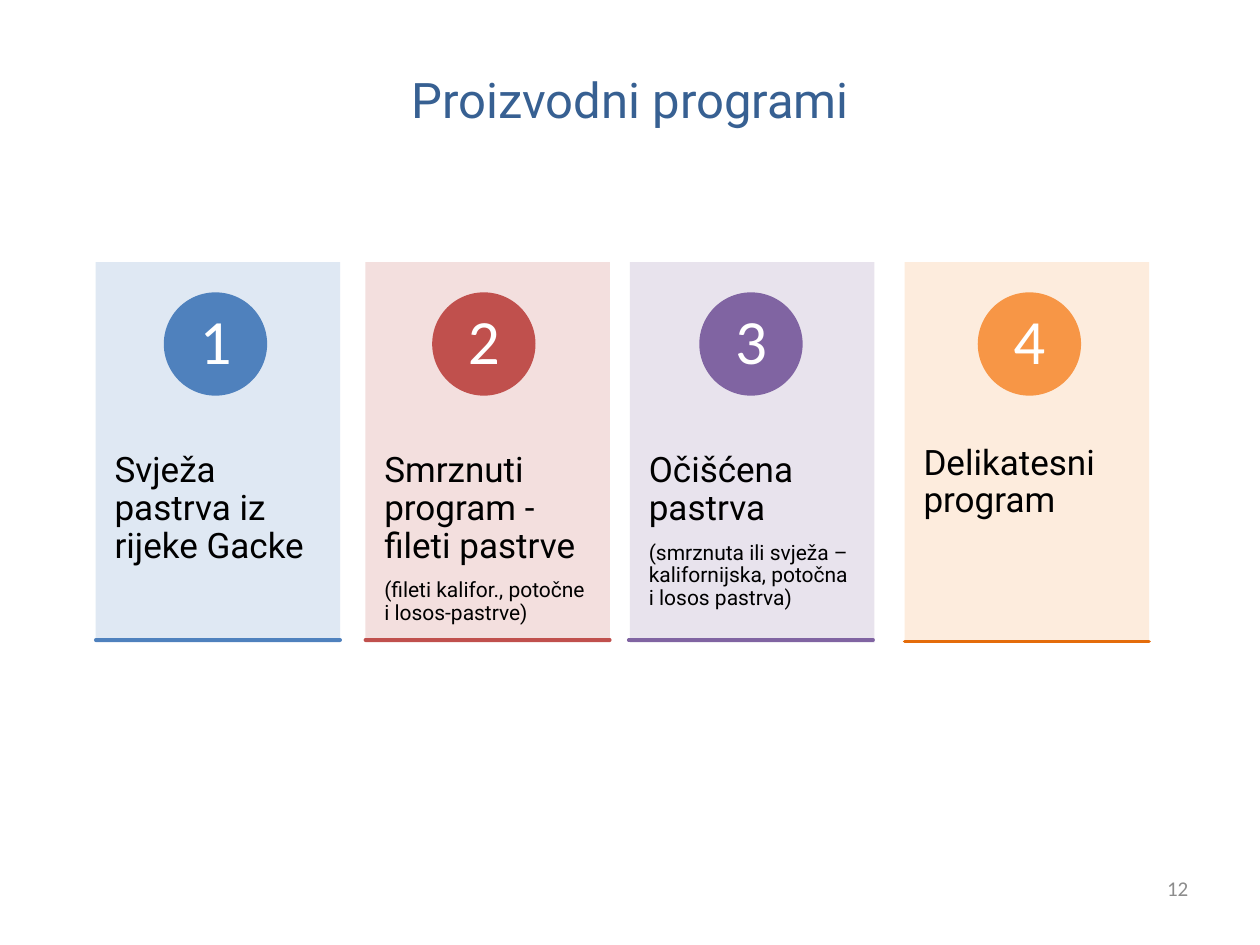
from dataclasses import dataclass

from lxml import etree
from pptx import Presentation
from pptx import util as u
from pptx.dml.color import RGBColor
from pptx.enum import shapes, text
from pptx.oxml.ns import qn

TITLE_BLUE = RGBColor(0x37, 0x60, 0x92)
BLACK = RGBColor(0, 0, 0)
WHITE = RGBColor(0xFF, 0xFF, 0xFF)
GREY = RGBColor(0x8C, 0x8C, 0x8C)
BLUE = RGBColor(0x4F, 0x81, 0xBD)
RED = RGBColor(0xC0, 0x50, 0x4D)
PURPLE = RGBColor(0x80, 0x64, 0xA2)
ORANGE = RGBColor(0xF7, 0x96, 0x46)
DARK_ORANGE = RGBColor(0xE4, 0x6C, 0x0A)
PALE_BLUE = RGBColor(0xDC, 0xE6, 0xF2)
PALE_RED = RGBColor(0xF2, 0xDC, 0xDB)
PALE_PURPLE = RGBColor(0xE6, 0xE0, 0xEC)
PALE_ORANGE = RGBColor(0xFD, 0xEA, 0xDA)

CARD_TOP, CARD_WIDTH, CARD_HEIGHT = 2.08, 1.94, 3.02
CIRCLE_TOP, CIRCLE_SIZE, NUMBER_INSET = 2.32, 0.82, 0.12
BODY_TOP, BODY_HEIGHT = 3.23, 1.81


@dataclass
class Program:
    left: float
    circle_left: float
    background: RGBColor
    accent: RGBColor
    heading: str
    detail: str = ""
    rule_color: RGBColor | None = None
    rule_left: float | None = None
    rule_top: float = 5.08


PROGRAMS = [
    Program(0.76, 1.30, PALE_BLUE, BLUE, "Svježa pastrva iz rijeke Gacke"),
    Program(2.90, 3.43, PALE_RED, RED, "Smrznuti program - fileti pastrve",
            "(fileti kalifor., potočne i losos-pastrve)"),
    Program(5.00, 5.55, PALE_PURPLE, PURPLE, "Očišćena pastrva",
            "(smrznuta ili svježa – kalifornijska, potočna i losos pastrva)",
            rule_left=4.99),
    Program(7.18, 7.76, PALE_ORANGE, ORANGE, "Delikatesni program",
            rule_color=DARK_ORANGE, rule_top=5.09),
]


def add_text(slide, box: tuple, lines: list[tuple[str, float]], *, font: str,
             color: RGBColor, align=text.PP_ALIGN.LEFT,
             anchor=text.MSO_ANCHOR.TOP, insets=(0.1, 0.05, 0.1, 0.05),
             line_spacing: float = 1.0, gap: float = 0) -> None:
    """Add a text box; each line is a paragraph with its size in points."""
    frame = slide.shapes.add_textbox(*map(u.Inches, box)).text_frame
    frame.word_wrap = True
    frame.vertical_anchor = anchor
    (frame.margin_left, frame.margin_top,
     frame.margin_right, frame.margin_bottom) = map(u.Inches, insets)
    for index, (content, size) in enumerate(lines):
        paragraph = frame.add_paragraph() if index else frame.paragraphs[0]
        paragraph.alignment = align
        paragraph.line_spacing = line_spacing
        paragraph.space_before = u.Pt(gap if index else 0)
        run = paragraph.add_run()
        run.text = content
        run.font.name = font
        run.font.size = u.Pt(size)
        run.font.color.rgb = color


def add_filled(slide, kind, box: tuple, color: RGBColor, opacity: int = 100) -> None:
    shape = slide.shapes.add_shape(kind, *map(u.Inches, box))
    shape.shadow.inherit = False
    shape.line.fill.background()
    shape.fill.solid()
    shape.fill.fore_color.rgb = color
    if opacity < 100:
        rgb = shape._element.spPr.find(".//" + qn("a:srgbClr"))
        etree.SubElement(rgb, qn("a:alpha"), val=str(opacity * 1000))


def add_rule(slide, left: float, top: float, color: RGBColor) -> None:
    """Draw the round-capped line along the foot of a card."""
    rule = slide.shapes.add_connector(
        shapes.MSO_CONNECTOR.STRAIGHT,
        *map(u.Inches, (left, top, left + CARD_WIDTH, top)))
    rule.line.color.rgb = color
    rule.line.width = u.Pt(2)
    properties = rule._element.spPr
    properties.find(qn("a:ln")).set("cap", "rnd")
    etree.SubElement(properties, qn("a:effectLst"))


def add_program(slide, number: int, program: Program) -> None:
    add_filled(slide, shapes.MSO_SHAPE.RECTANGLE,
               (program.left, CARD_TOP, CARD_WIDTH, CARD_HEIGHT),
               program.background, opacity=90)
    lines = [(program.heading, 20)]
    if program.detail:
        lines.append((program.detail, 12))
    add_text(slide, (program.left, BODY_TOP, CARD_WIDTH, BODY_HEIGHT), lines,
             font="Roboto", color=BLACK, insets=(0.15, 0.36, 0.15, 0.36),
             line_spacing=0.9, gap=8)
    add_filled(slide, shapes.MSO_SHAPE.OVAL,
               (program.circle_left, CIRCLE_TOP, CIRCLE_SIZE, CIRCLE_SIZE),
               program.accent)
    number_size = CIRCLE_SIZE - 2 * NUMBER_INSET
    add_text(slide, (program.circle_left + NUMBER_INSET,
                     CIRCLE_TOP + NUMBER_INSET, number_size, number_size),
             [(str(number), 36)], font="Calibri", color=WHITE,
             align=text.PP_ALIGN.CENTER, anchor=text.MSO_ANCHOR.MIDDLE,
             insets=(0.06, 0.01, 0.06, 0.01), line_spacing=0.9)
    add_rule(slide, program.rule_left or program.left, program.rule_top,
             program.rule_color or program.accent)


def main() -> None:
    presentation = Presentation()
    presentation.slide_width = u.Inches(10)
    presentation.slide_height = u.Inches(7.5)
    slide = presentation.slides.add_slide(presentation.slide_layouts[6])

    add_text(slide, (0.67, 0.05, 8.66, 0.94), [("Proizvodni programi", 28)],
             font="Roboto", color=TITLE_BLUE, align=text.PP_ALIGN.CENTER,
             insets=(0.1, 0.54, 0.1, 0))
    for number, program in enumerate(PROGRAMS, start=1):
        add_program(slide, number, program)
    add_text(slide, (7.2, 6.85, 2.33, 0.4), [("12", 12)], font="Calibri",
             color=GREY, align=text.PP_ALIGN.RIGHT,
             anchor=text.MSO_ANCHOR.MIDDLE)

    presentation.save("out.pptx")


if __name__ == "__main__":
    main()
